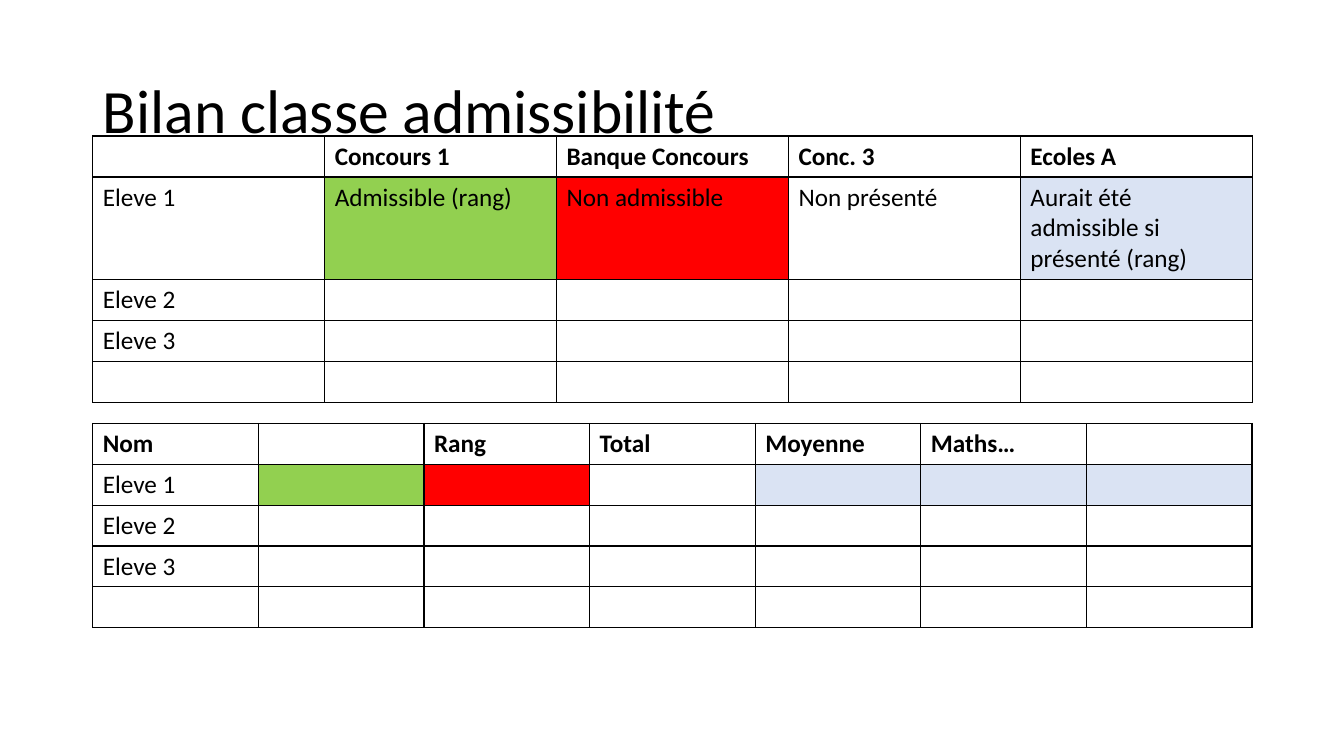
"""Build the class admissibility summary slide with its two tables."""
from lxml import etree
from pptx import Presentation
from pptx.dml.color import RGBColor
from pptx.enum.text import MSO_ANCHOR, PP_ALIGN
from pptx.oxml.ns import qn
from pptx.util import Inches, Pt

LEFT = PP_ALIGN.LEFT
MIDDLE = MSO_ANCHOR.MIDDLE
FONT = "Calibri"
COLORS = {
    "black": "000000",
    "white": "FFFFFF",
    "green": "92D050",
    "red": "FF0000",
    "blue": "DAE3F3",
}
EDGE, WIDTH, ROW = 0.92, 11.5, 0.4


def add_run(para, text, size, bold=False):
    run = para.add_run()
    run.text = text
    run.font.name = FONT
    run.font.size = Pt(size)
    run.font.bold = bold
    run.font.color.rgb = RGBColor.from_string(COLORS["black"])


def add_borders(cell):
    props = cell._tc.get_or_add_tcPr()
    for side in ("lnL", "lnR", "lnT", "lnB"):
        line = etree.SubElement(props, qn(f"a:{side}"), w=str(Pt(1)))
        fill = etree.SubElement(line, qn("a:solidFill"))
        etree.SubElement(fill, qn("a:srgbClr"), val=COLORS["black"])


deck = Presentation()
deck.slide_width, deck.slide_height = Inches(13.33), Inches(7.5)
slide = deck.slides.add_slide(deck.slide_layouts[5])

title = slide.shapes.title
title.left, title.top = Inches(EDGE), Inches(0.4)
title.width, title.height = Inches(WIDTH), Inches(1.45)
title.text_frame.vertical_anchor = MIDDLE
para = title.text_frame.paragraphs[0]
para.alignment = LEFT
para.line_spacing = 0.9
add_run(para, "Bilan classe admissibilité", 44)

pupils = [["Eleve 2"], ["Eleve 3"], []]
exams = [
    ["", "Concours 1", "Banque Concours", "Conc. 3", "Ecoles A"],
    ["Eleve 1", "Admissible (rang)", "Non admissible", "Non présenté",
     "Aurait été admissible si présenté (rang)"],
    *pupils,
]
marks = [
    ["Nom", "", "Rang", "Total", "Moyenne", "Maths…", ""],
    ["Eleve 1"],
    *pupils,
]
fills = ["", "green", "red", "white", "blue", "blue", "blue"]

for top, first, rows in ((1.35, 1.02, exams), (4.2, ROW, marks)):
    count = len(rows[0])
    heights = [ROW, first, ROW, ROW, ROW]
    table = slide.shapes.add_table(
        len(rows), count, Inches(EDGE), Inches(top),
        Inches(WIDTH), Inches(sum(heights))).table
    table.horz_banding = False
    for col in table.columns:
        col.width = Inches(WIDTH / count)
    for i, texts in enumerate(rows):
        table.rows[i].height = Inches(heights[i])
        for j in range(count):
            cell = table.cell(i, j)
            add_borders(cell)
            if i == 1 and fills[j]:
                cell.fill.solid()
                cell.fill.fore_color.rgb = RGBColor.from_string(COLORS[fills[j]])
            else:
                cell.fill.background()
            if j < len(texts) and texts[j]:
                add_run(cell.text_frame.paragraphs[0], texts[j], 18, i == 0)

deck.save("out.pptx")
